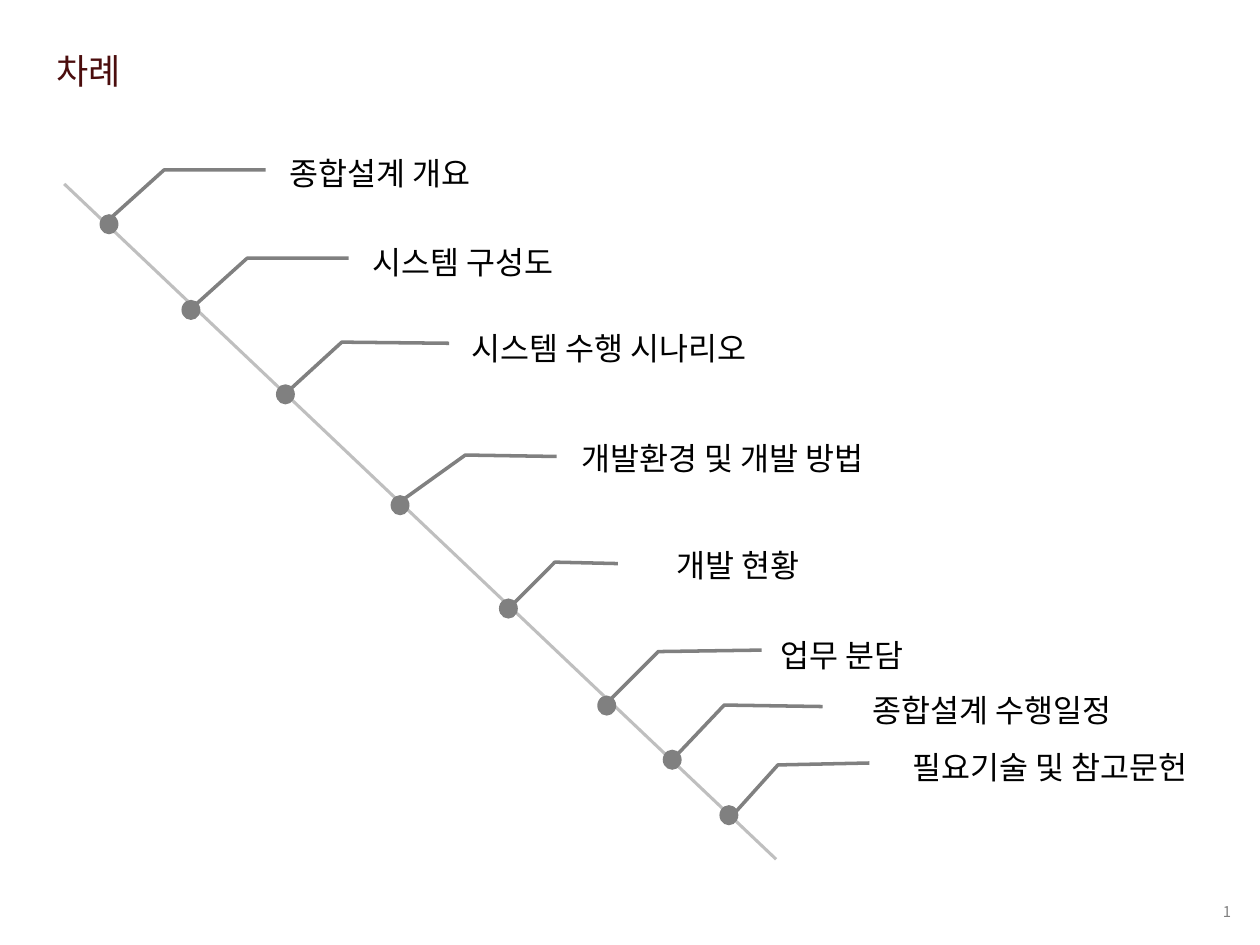
from lxml import etree
from pptx import Presentation
from pptx.dml.color import RGBColor
from pptx.enum import shapes, text
from pptx.oxml.ns import qn
from pptx.util import Inches, Pt

FONT = "Noto Sans CJK KR"
MAROON = RGBColor(0x4B, 0x0D, 0x0D)
GRAY = RGBColor(0x80, 0x80, 0x80)
LIGHT_GRAY = RGBColor(0xBF, 0xBF, 0xBF)
BLACK = RGBColor(0, 0, 0)


def write(shape, words, size, color, align, anchor):
    frame = shape.text_frame
    frame.word_wrap = True
    frame.vertical_anchor = anchor
    para = frame.paragraphs[0]
    para.text = words
    para.alignment = align
    para.font.name = FONT
    para.font.size = Pt(size)
    para.font.color.rgb = color
    # Hangul takes its typeface from the East Asian font
    defaults = para._p.pPr.find(qn("a:defRPr"))
    etree.SubElement(defaults, qn("a:ea"), typeface=FONT)


deck = Presentation()
deck.slide_width, deck.slide_height = Inches(10), Inches(7.5)
page = deck.slides.add_slide(deck.slide_layouts[5])

title = page.shapes.title
title.left, title.top = Inches(0.35), Inches(0.34)
title.width, title.height = Inches(2.07), Inches(0.44)
write(title, "차례", 20, MAROON, text.PP_ALIGN.LEFT, text.MSO_ANCHOR.TOP)
title.text_frame.auto_size = text.MSO_AUTO_SIZE.NONE

spine = page.shapes.add_connector(
    shapes.MSO_CONNECTOR.STRAIGHT, Inches(0.51), Inches(1.46), Inches(6.16), Inches(6.82))
spine.line.color.rgb = LIGHT_GRAY
spine.line.width = Pt(1.75)
etree.SubElement(spine._element.spPr, qn("a:effectLst"))

# label, callout box, leader points as (y, x) fractions of the box, dot corner
LOW_END = (1.43, -0.28)
HIGH_END = (1.49, -0.243)
topics = [
    ("종합설계 개요", (1.64, 1.18, 2.75, 0.39), (0.433, 0.17, 0.433, -0.123, *LOW_END), (0.79, 1.7)),
    ("시스템 구성도", (2.3, 1.88, 2.75, 0.39), (0.433, 0.17, 0.433, -0.123, *LOW_END), (1.44, 2.38)),
    ("시스템 수행 시나리오", (3.04, 2.57, 3.24, 0.38), (0.407, 0.162, 0.383, -0.101, *HIGH_END), (2.19, 3.05)),
    ("개발환경 및 개발 방법", (4.08, 3.44, 3.31, 0.39), (0.469, 0.102, 0.439, -0.117, *LOW_END), (3.1, 3.93)),
    ("개발 현황", (4.68, 4.29, 2.36, 0.39), (0.469, 0.095, 0.439, -0.117, *LOW_END), (3.96, 4.75)),
    ("업무 분담", (5.5, 5, 2.36, 0.39), (0.409, 0.231, 0.439, -0.117, *LOW_END), (4.74, 5.52)),
    ("종합설계 수행일정", (6.18, 5.44, 3.38, 0.38), (0.441, 0.103, 0.41, -0.128, *HIGH_END), (5.26, 5.95)),
    ("필요기술 및 참고문헌", (6.64, 5.9, 3.38, 0.38), (0.41, 0.077, 0.45, -0.138, *HIGH_END), (5.71, 6.39)),
]
for label, place, leader, corner in topics:
    dot = page.shapes.add_shape(
        shapes.MSO_SHAPE.OVAL, *map(Inches, corner), Inches(0.15), Inches(0.16))
    dot.shadow.inherit = False
    dot.fill.solid()
    dot.fill.fore_color.rgb = GRAY
    dot.line.fill.background()

    callout = page.shapes.add_shape(
        shapes.MSO_SHAPE.LINE_CALLOUT_2_NO_BORDER, *map(Inches, place))
    for index, value in enumerate(leader):
        callout.adjustments[index] = value
    callout.shadow.inherit = False
    callout.fill.background()
    callout.line.color.rgb = GRAY
    callout.line.width = Pt(2)
    write(callout, label, 18, BLACK, text.PP_ALIGN.CENTER, text.MSO_ANCHOR.MIDDLE)
    if label == "시스템 수행 시나리오":
        callout.text_frame.margin_left = Inches(0.44)

number = page.shapes.add_textbox(Inches(7.76), Inches(7.1), Inches(2.11), Inches(0.27))
write(number, "1", 8.5, GRAY, text.PP_ALIGN.RIGHT, text.MSO_ANCHOR.MIDDLE)

deck.save("out.pptx")
